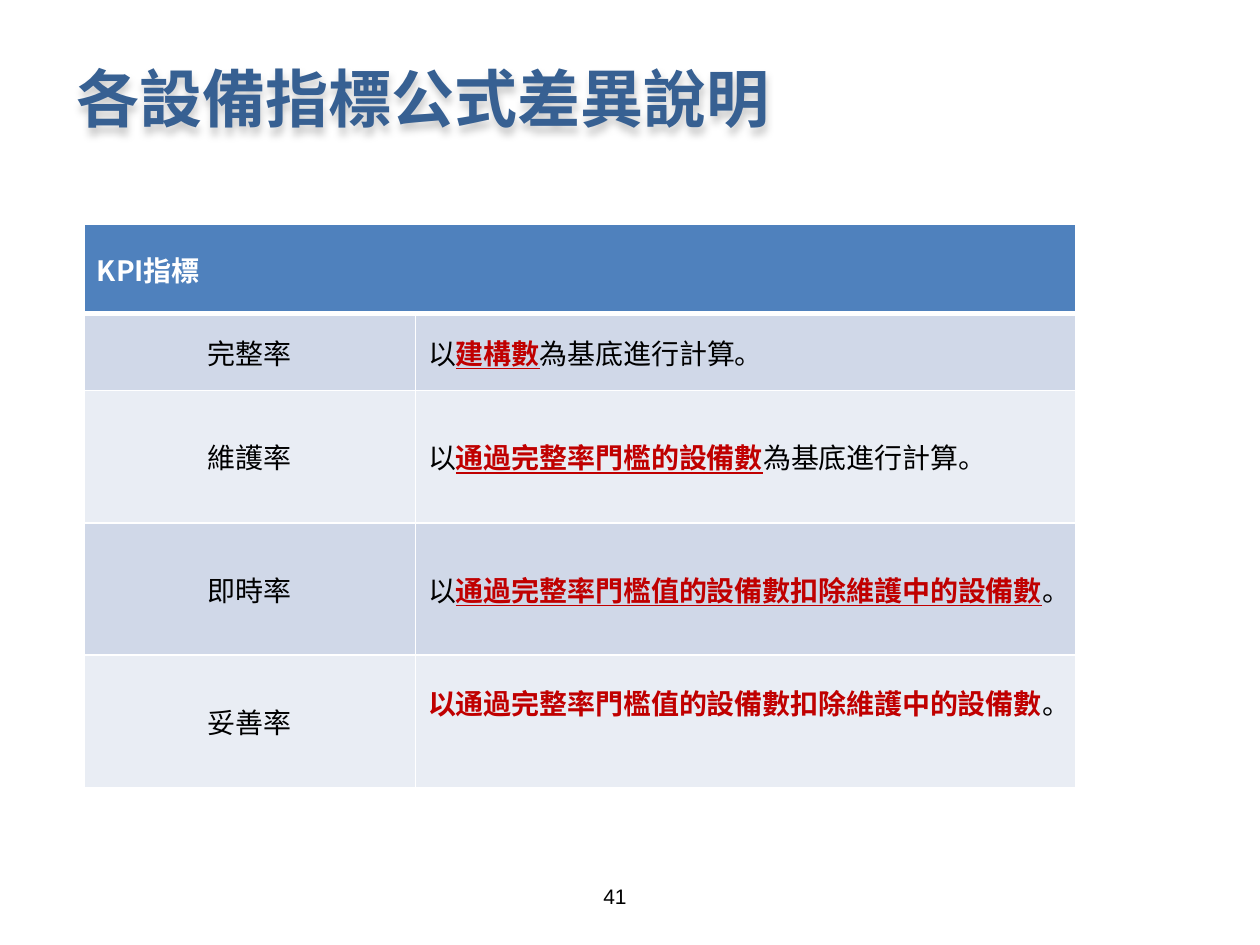
from lxml.etree import SubElement
from pptx import Presentation
from pptx.dml.color import RGBColor
from pptx.enum.text import MSO_ANCHOR, PP_ALIGN
from pptx.oxml.ns import qn
from pptx.util import Pt

CJK_FONT = "Noto Sans CJK SC"
BLACK, WHITE, RED = "000000", "FFFFFF", "C00000"
TITLE_BLUE, HEADER_BLUE = "376092", "4F81BD"
BANDS = ("D0D8E8", "E9EDF4")
COLUMN_WIDTHS = (189.2, 377.3)
ROW_HEIGHTS = (51.1, 43.9, 75.6, 75.6, 75.6)

# Indicator, then the plain lead, the stressed base and the plain ending
INDICATORS = [
    ("完整率", "以", "建構數", "為基底進行計算。"),
    ("維護率", "以", "通過完整率門檻的設備數", "為基底進行計算。"),
    ("即時率", "以", "通過完整率門檻值的設備數扣除維護中的設備數", "。"),
    ("妥善率", "", "以通過完整率門檻值的設備數扣除維護中的設備數", "。"),
]


def rgb(value):
    return RGBColor.from_string(value)


def format_run(run, size, color, name=CJK_FONT, bold=False, underline=False):
    font = run.font
    font.size = Pt(size)
    font.bold = bold
    font.underline = underline
    font.color.rgb = rgb(color)
    font.name = name
    SubElement(run.font._element, qn("a:ea"), typeface=name)


def add_title(slide, text):
    title = slide.shapes.title
    title.left, title.top, title.width, title.height = Pt(36.7), Pt(30.2), Pt(663), Pt(51)
    frame = title.text_frame
    frame.text = text
    frame.vertical_anchor = MSO_ANCHOR.MIDDLE
    frame.paragraphs[0].alignment = PP_ALIGN.LEFT
    format_run(frame.paragraphs[0].runs[0], 36, TITLE_BLUE, bold=True)
    # Soft shadow below the letters
    effects = SubElement(title._element.spPr, qn("a:effectLst"))
    shadow = SubElement(effects, qn("a:outerShdw"), blurRad=str(Pt(4)),
                        dist=str(Pt(3)), dir="5400000", algn="t", rotWithShape="0")
    shade = SubElement(shadow, qn("a:srgbClr"), val=BLACK)
    SubElement(shade, qn("a:alpha"), val="20000")


def add_page_number(slide, number):
    box = slide.shapes.add_textbox(Pt(337.7), Pt(501.1), Pt(45.4), Pt(36))
    frame = box.text_frame
    frame.word_wrap = True
    frame.text = number
    format_run(frame.paragraphs[0].runs[0], 12, BLACK, "Arial")


def style_cell(cell, fill, top=1, bottom=1):
    cell.vertical_anchor = MSO_ANCHOR.MIDDLE
    properties = cell._tc.get_or_add_tcPr()
    for side, width in (("L", 1), ("R", 1), ("T", top), ("B", bottom)):
        border = SubElement(properties, qn(f"a:ln{side}"), w=str(Pt(width)))
        color = SubElement(border, qn("a:solidFill"))
        SubElement(color, qn("a:srgbClr"), val=WHITE)
    cell.fill.solid()
    cell.fill.fore_color.rgb = rgb(fill)


def write_text(cell, text, color, bold=False, align=PP_ALIGN.LEFT):
    cell.text_frame.text = text
    paragraph = cell.text_frame.paragraphs[0]
    paragraph.alignment = align
    format_run(paragraph.runs[0], 16, color, bold=bold)


def write_formula(cell, lead, base, ending):
    paragraph = cell.text_frame.paragraphs[0]
    for text, stressed in ((lead, False), (base, True), (ending, False)):
        if text:
            run = paragraph.add_run()
            run.text = text
            format_run(run, 16, RED if stressed else BLACK, bold=stressed,
                       underline=stressed and bool(lead))


def add_indicator_table(slide):
    table = slide.shapes.add_table(
        len(ROW_HEIGHTS), len(COLUMN_WIDTHS), Pt(48.2), Pt(128.2),
        Pt(sum(COLUMN_WIDTHS)), Pt(sum(ROW_HEIGHTS))).table
    for column, width in zip(table.columns, COLUMN_WIDTHS):
        column.width = Pt(width)
    for row, height in zip(table.rows, ROW_HEIGHTS):
        row.height = Pt(height)

    # Header across both columns
    header = table.cell(0, 0)
    header.merge(table.cell(0, 1))
    for cell in table.rows[0].cells:
        style_cell(cell, HEADER_BLUE, bottom=3)
    write_text(header, "KPI指標", WHITE, bold=True)

    # One banded row for each indicator
    for row, (indicator, *formula) in enumerate(INDICATORS, start=1):
        for cell in table.rows[row].cells:
            style_cell(cell, BANDS[(row - 1) % 2], top=3 if row == 1 else 1)
        write_text(table.cell(row, 0), indicator, BLACK, align=PP_ALIGN.CENTER)
        write_formula(table.cell(row, 1), *formula)

    # The last formula sits above the middle of its row
    table.cell(len(INDICATORS), 1).margin_bottom = Pt(25)


def main():
    presentation = Presentation()
    presentation.slide_width, presentation.slide_height = Pt(720), Pt(540)
    slide = presentation.slides.add_slide(presentation.slide_layouts[5])
    add_title(slide, "各設備指標公式差異說明")
    add_page_number(slide, "41")
    add_indicator_table(slide)
    presentation.save("out.pptx")


if __name__ == "__main__":
    main()
